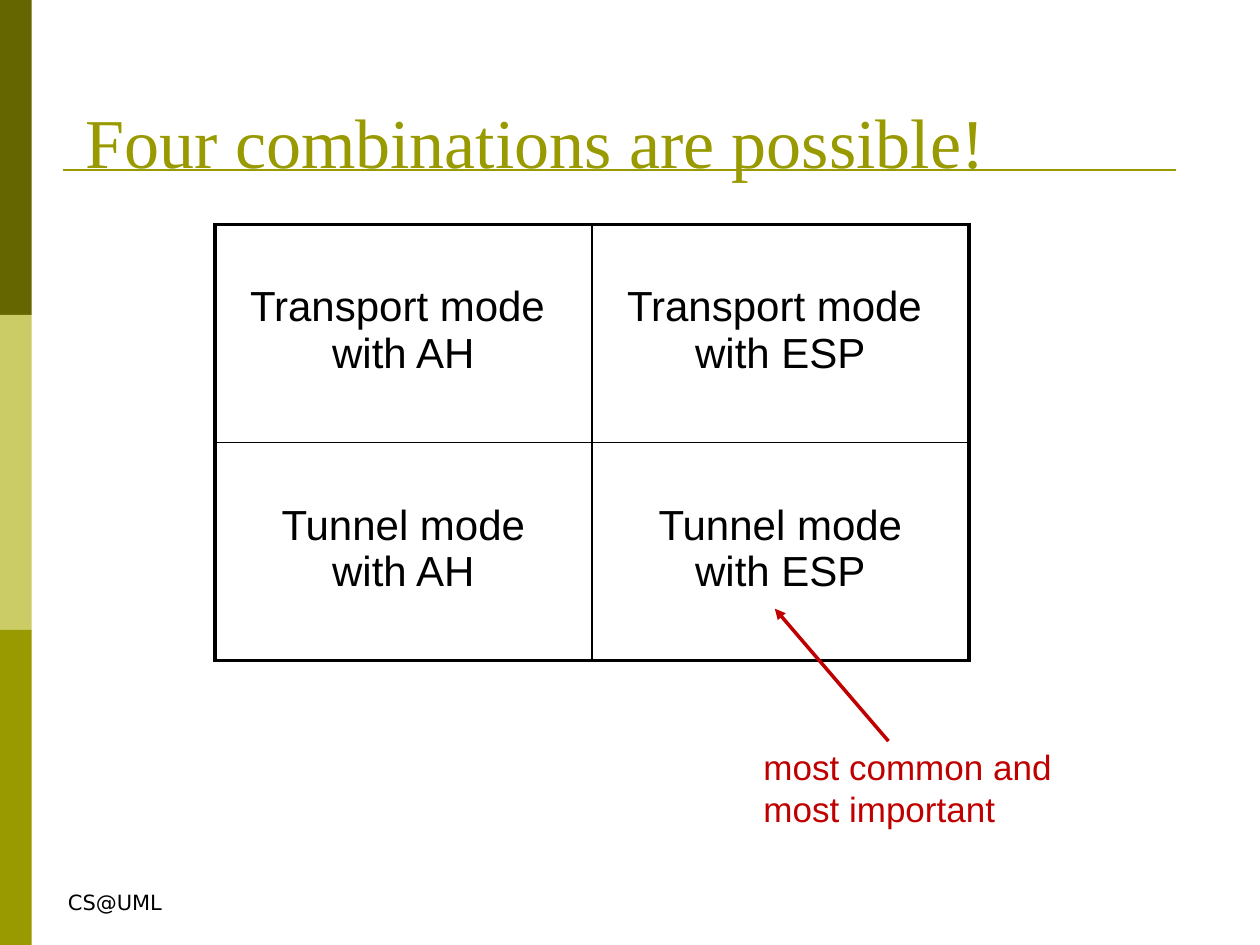
from lxml.etree import SubElement as Sub
from pptx import Presentation
from pptx.dml.color import RGBColor as Rgb
from pptx.enum.shapes import MSO_CONNECTOR as Link, MSO_SHAPE as Shape
from pptx.enum.text import MSO_ANCHOR as Anchor, PP_ALIGN as Align
from pptx.oxml import parse_xml
from pptx.oxml.ns import nsdecls, qn
from pptx.util import Cm, Pt

HUES = {"dark": "666600", "pale": "CCCC66", "olive": "999900",
        "black": "000000", "red": "C00000"}
FONTS = {
    "title": ({"name": "Times New Roman", "size": Pt(40)}, "olive"),
    "cell": ({"name": "Arial", "size": Pt(24)}, "black"),
    "note": ({"name": "Arial", "size": Pt(20)}, "red"),
    "foot": ({"name": "DejaVu Sans", "size": Pt(12)}, "black"),
}


def write(frame, text, kind, align=Align.LEFT):
    """Fill a text frame and give every run the format of its kind."""
    frame.text = text
    form, hue = FONTS[kind]
    for para in frame.paragraphs:
        para.alignment = align
        for run in para.runs:
            for key, val in form.items():
                setattr(run.font, key, val)
            run.font.color.rgb = Rgb.from_string(HUES[hue])


def rule(ends, hue, width):
    """Draw a straight line between two points given in centimetres."""
    line = slide.shapes.add_connector(Link.STRAIGHT, *map(Cm, ends))
    line.line.color.rgb = Rgb.from_string(HUES[hue])
    line.line.width = Pt(width)
    Sub(line._element.spPr, qn("a:effectLst"))
    return line


deck = Presentation()
deck.slide_width, deck.slide_height = Cm(25.4), Cm(19.05)
slide = deck.slides.add_slide(deck.slide_layouts[5])

# Side bands and title rule
band = 19.05 / 3
for i, hue in enumerate(("dark", "pale", "olive")):
    bar = slide.shapes.add_shape(Shape.RECTANGLE, 0, Cm(i * band),
                                 Cm(0.64), Cm(band))
    bar.shadow.inherit = False
    bar.fill.solid()
    bar.fill.fore_color.rgb = Rgb.from_string(HUES[hue])
    bar.line.fill.background()
rule((1.27, 3.43, 23.7, 3.43), "olive", 1.5)

# Title
title = slide.shapes.title
place = {"left": 1.47, "top": 0.64, "width": 21.59, "height": 3.17}
for key, val in place.items():
    setattr(title, key, Cm(val))
title.text_frame.vertical_anchor = Anchor.BOTTOM
write(title.text_frame, "Four combinations are possible!", "title")

# Grid of modes and protocols
modes = ("Transport mode ", "Tunnel mode")
heads = ("AH", "ESP")
grid = slide.shapes.add_table(2, 2, Cm(4.33), Cm(4.52),
                              Cm(15.2), Cm(8.8)).table
grid.first_row = grid.horz_banding = False
for r, mode in enumerate(modes):
    for c, head in enumerate(heads):
        cell = grid.cell(r, c)
        cell.fill.background()
        cell.margin_top = Cm(1.2)
        write(cell.text_frame, f"{mode}\vwith {head}", "cell", Align.CENTER)
        outer = {"L": c == 0, "R": c == 1, "T": r == 0, "B": r == 1}
        for i, (side, edge) in enumerate(outer.items()):
            width = Pt(2.25 if edge else 1)
            cell._tc.get_or_add_tcPr().insert(i, parse_xml(
                f'<a:ln{side} {nsdecls("a")} w="{width}"><a:solidFill>'
                f'<a:srgbClr val="{HUES["black"]}"/></a:solidFill>'
                f'</a:ln{side}>'))

# Arrow to the usual choice
arrow = rule((17.91, 14.94, 15.62, 12.27), "red", 2)
Sub(arrow.line._get_or_add_ln(), qn("a:tailEnd"), type="triangle")

# Note and footer
texts = (
    ("most common and\vmost important", "note", (15.14, 14.91, 6.38, 1.96)),
    ("CS@UML", "foot", (1.12, 17.8, 2.42, 0.77)),
)
for text, kind, spot in texts:
    box = slide.shapes.add_textbox(*map(Cm, spot))
    box.text_frame.word_wrap = False
    write(box.text_frame, text, kind)

deck.save("out.pptx")
